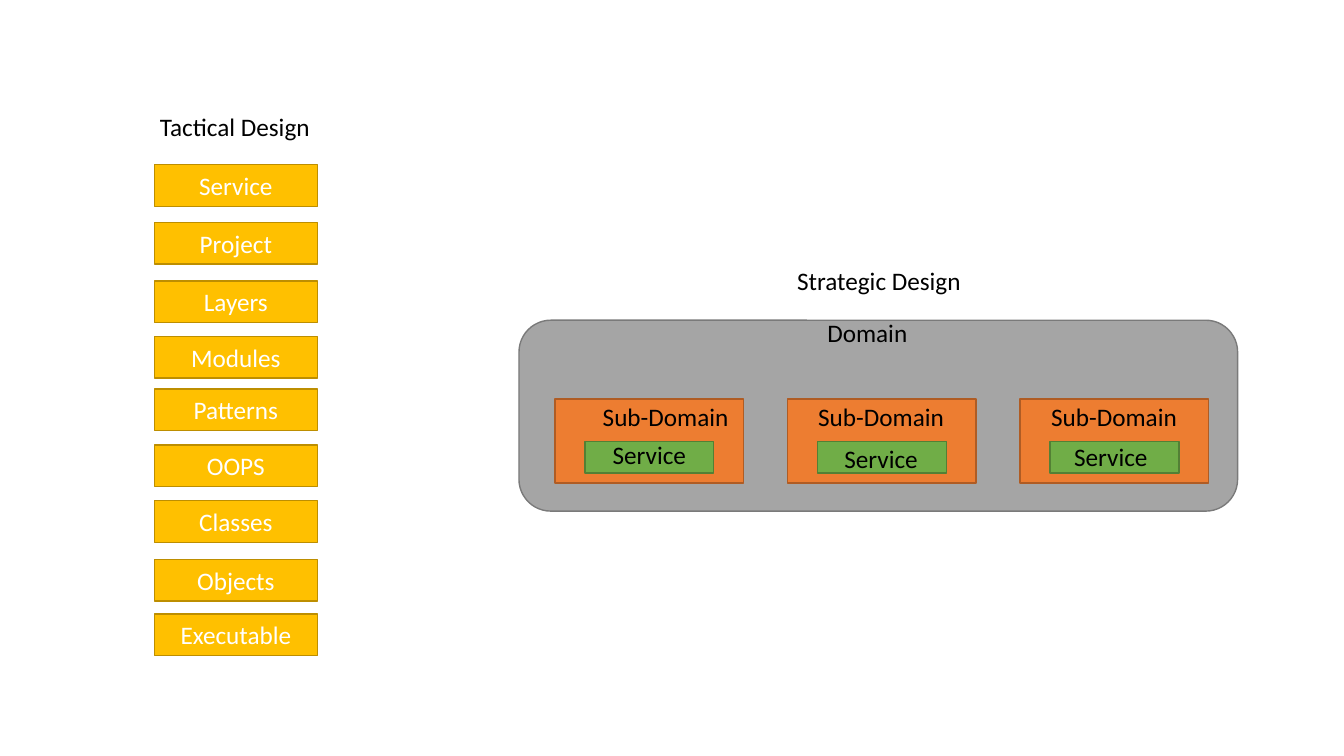
from pptx import Presentation
from pptx.dml.color import RGBColor
from pptx.enum.shapes import MSO_SHAPE
from pptx.enum.text import MSO_ANCHOR, PP_ALIGN
from pptx.util import Cm, Pt

RECTANGLE = MSO_SHAPE.RECTANGLE
ROUNDED = MSO_SHAPE.ROUNDED_RECTANGLE
LEFT, CENTER = PP_ALIGN.LEFT, PP_ALIGN.CENTER
TOP, MIDDLE = MSO_ANCHOR.TOP, MSO_ANCHOR.MIDDLE

COLORS = {
    "layer": "FFC000", "layer_line": "BD8E00",
    "domain": "A5A5A5", "domain_line": "7A7A7A",
    "subdomain": "ED7D31", "subdomain_line": "AF5C24",
    "service": "70AD47", "service_line": "538035",
    "light": "FFFFFF", "dark": "000000",
}

deck = Presentation()
deck.slide_width, deck.slide_height = Cm(33.87), Cm(19.05)
page = deck.slides.add_slide(deck.slide_layouts[6])


def add_box(role, left, top, width, height, outline=RECTANGLE):
    """Draw a shape with the fill and line colours of its role."""
    box = page.shapes.add_shape(outline, Cm(left), Cm(top), Cm(width), Cm(height))
    box.shadow.inherit = False
    box.fill.solid()
    box.fill.fore_color.rgb = RGBColor.from_string(COLORS[role])
    box.line.color.rgb = RGBColor.from_string(COLORS[role + "_line"])
    box.line.width = Pt(1)
    return box


def write(text, left=0, top=0, box=None, color="dark", align=LEFT, anchor=TOP):
    """Write 18 pt text into the given box, or into a new label."""
    if box is None:
        box = page.shapes.add_textbox(Cm(left), Cm(top), Cm(5.16), Cm(1.03))
    frame = box.text_frame
    frame.word_wrap = True
    frame.vertical_anchor = anchor
    para = frame.paragraphs[0]
    para.alignment = align
    span = para.add_run()
    span.text = text
    span.font.name = "Calibri"
    span.font.size = Pt(18)
    span.font.color.rgb = RGBColor.from_string(COLORS[color])


# Tactical design: a column of building blocks
write("Tactical Design", 3.78, 2.69)
layers = [
    ("Service", 4.15), ("Project", 5.6), ("Layers", 7.08),
    ("Modules", 8.48), ("Patterns", 9.8), ("OOPS", 11.21),
    ("Classes", 12.62), ("Objects", 14.1), ("Executable", 15.47),
]
for name, top in layers:
    layer = add_box("layer", 3.89, top, 4.11, 1.05)
    write(name, box=layer, color="light", align=CENTER, anchor=MIDDLE)

# Strategic design: a domain holding three sub-domains with one service each
write("Strategic Design", 19.84, 6.55)
add_box("domain", 13.08, 8.07, 18.11, 4.81, ROUNDED)
write("Domain", 20.6, 7.87)

# Left of the sub-domain label, then left and top of the service label
labels = [(14.94, 15.19, 10.95), (20.37, 21.03, 11.05), (26.24, 26.82, 11)]
for column, (subdomain_left, service_left, service_top) in enumerate(labels):
    left = 13.99 + column * 5.86
    add_box("subdomain", left, 10.06, 4.75, 2.11)
    add_box("service", left + 0.75, 11.13, 3.25, 0.79)
    write("Sub-Domain", subdomain_left, 9.98)
    write("Service", service_left, service_top)

deck.save("out.pptx")
